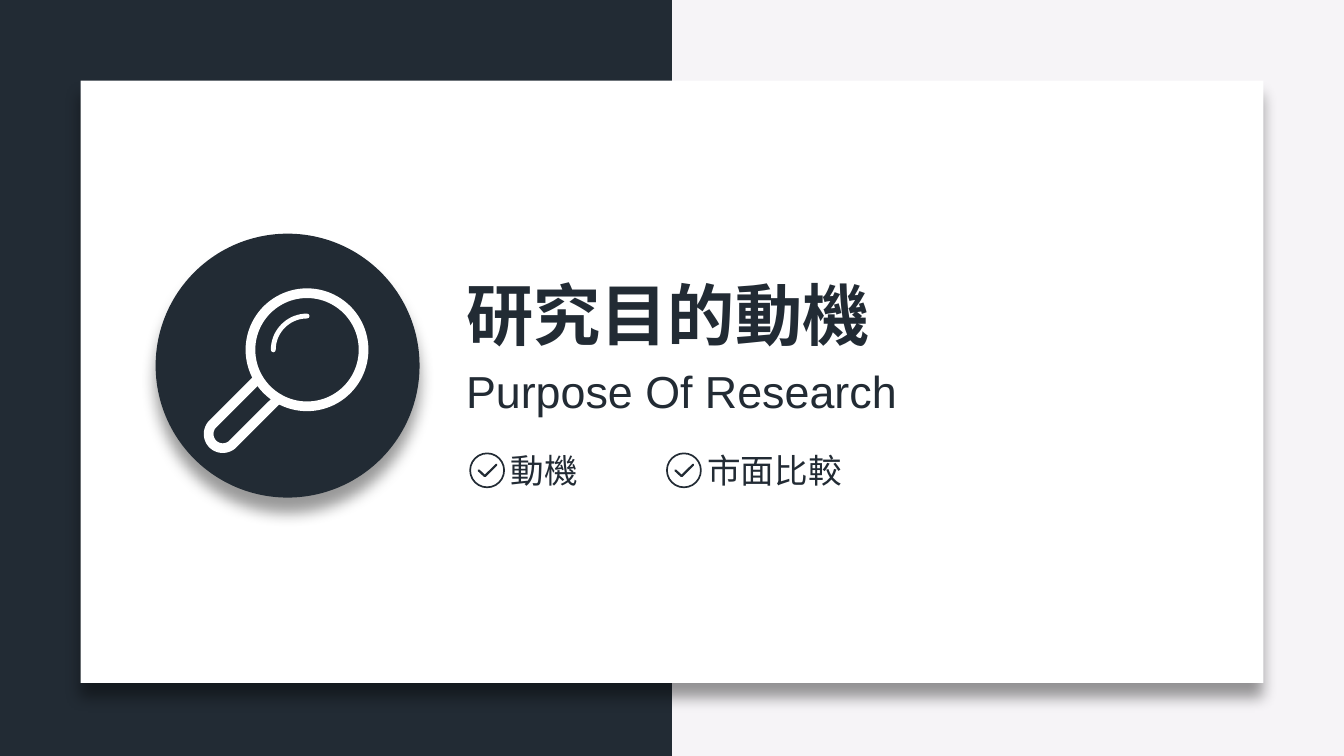
from dataclasses import dataclass
from math import cos, radians, sin, sqrt

from lxml.etree import SubElement
from pptx import Presentation
from pptx.dml.color import RGBColor
from pptx.enum.shapes import MSO_SHAPE
from pptx.enum.text import MSO_ANCHOR, MSO_AUTO_SIZE, PP_ALIGN
from pptx.oxml.ns import qn
from pptx.util import Pt


@dataclass(frozen=True)
class Theme:
    dark: str = "222B34"
    pale: str = "F6F4F7"
    white: str = "FFFFFF"
    black: str = "000000"
    sans: str = "Calibri"
    latin: str = "Arial"
    head: int = 36
    sub: int = 24
    item: int = 18


@dataclass(frozen=True)
class Label:
    text: str
    left: float
    top: float
    width: float
    height: float
    size: int
    font: str
    bold: bool = False


@dataclass(frozen=True)
class Topic:
    text: str
    left: float
    width: float


THEME = Theme()
WIDE, HIGH = 720, 405
EDGE = 242.6
TITLE = Label("研究目的動機", EDGE, 142.6, 232.6, 51.1, THEME.head, THEME.sans, True)
SUB = Label("Purpose Of Research", EDGE, 191.5, 247.7, 36, THEME.sub, THEME.latin)
TOPICS = [Topic("動機", 251.3, 51.1), Topic("市面比較", 356.7, 87.1)]


def tint(code: str) -> RGBColor:
    return RGBColor.from_string(code)


def apply(thing, style: dict) -> None:
    for name, value in style.items():
        setattr(thing, name, value)


def block(slide, kind, left: float, top: float, width: float, height: float, fill: str):
    shape = slide.shapes.add_shape(kind, Pt(left), Pt(top), Pt(width), Pt(height))
    shape.shadow.inherit = False
    shape.fill.solid()
    shape.fill.fore_color.rgb = tint(fill)
    shape.line.fill.background()
    return shape


def shade(shape) -> None:
    effects = shape._element.spPr.find(qn("a:effectLst"))
    outer = SubElement(effects, qn("a:outerShdw"), blurRad=str(Pt(8)), dist=str(Pt(8)),
                       dir="5400000", algn="t", rotWithShape="0")
    color = SubElement(outer, qn("a:srgbClr"), val=THEME.black)
    SubElement(color, qn("a:alpha"), val="40000")


def stroke(shape, color: str, weight: float) -> None:
    shape.shadow.inherit = False
    shape.fill.background()
    shape.line.color.rgb = tint(color)
    shape.line.width = Pt(weight)


def ring(slide, x: float, y: float, radius: float, color: str, weight: float) -> None:
    shape = slide.shapes.add_shape(MSO_SHAPE.OVAL, Pt(x - radius), Pt(y - radius),
                                   Pt(2 * radius), Pt(2 * radius))
    stroke(shape, color, weight)


def trace(slide, dots: list[tuple[float, float]], color: str, weight: float) -> None:
    spots = [(Pt(x), Pt(y)) for x, y in dots]
    maker = slide.shapes.build_freeform(*spots[0])
    maker.add_line_segments(spots[1:], close=False)
    shape = maker.convert_to_shape()
    stroke(shape, color, weight)
    line = shape.line._get_or_add_ln()
    line.set("cap", "rnd")
    SubElement(line, qn("a:round"))


def arc(x: float, y: float, radius: float, start: int, end: int) -> list[tuple[float, float]]:
    return [(x + radius * cos(radians(a)), y + radius * sin(radians(a)))
            for a in range(start, end + 1, 5)]


def write(shape, label: Label) -> None:
    apply(shape, {"left": Pt(label.left), "top": Pt(label.top),
                  "width": Pt(label.width), "height": Pt(label.height)})
    frame = shape.text_frame
    apply(frame, {"word_wrap": True, "auto_size": MSO_AUTO_SIZE.SHAPE_TO_FIT_TEXT,
                  "vertical_anchor": MSO_ANCHOR.TOP,
                  "margin_left": Pt(7.2), "margin_right": Pt(7.2),
                  "margin_top": Pt(3.6), "margin_bottom": Pt(3.6)})
    para = frame.paragraphs[0]
    para.alignment = PP_ALIGN.LEFT
    run = para.add_run()
    run.text = label.text
    apply(run.font, {"name": label.font, "size": Pt(label.size), "bold": label.bold})
    run.font.color.rgb = tint(THEME.dark)


def note(slide, label: Label) -> None:
    write(slide.shapes.add_textbox(0, 0, 0, 0), label)


def check(slide, x: float, y: float) -> None:
    ring(slide, x, y, 9.1, THEME.dark, 0.9)
    trace(slide, [(x - 4.6, y), (x - 1.2, y + 3.1), (x + 4.9, y - 3)], THEME.dark, 1.2)


def lens(slide, x: float, y: float) -> None:
    radius, half, reach, weight = 30.3, 7.6, 63.8, 5.2
    slant = sqrt(0.5)
    tip_x, tip_y = x - reach * slant, y + reach * slant
    bend = arc(tip_x, tip_y, half, 45, 225)
    run = (reach - sqrt(radius ** 2 - half ** 2)) * slant
    ends = [(px + run, py - run) for px, py in (bend[0], bend[-1])]
    trace(slide, [ends[0], *bend, ends[1]], THEME.white, weight)
    ring(slide, x, y, radius, THEME.white, weight)
    trace(slide, arc(x, y, 18.1, 180, 270), THEME.white, 2.6)


def main() -> None:
    deck = Presentation()
    apply(deck, {"slide_width": Pt(WIDE), "slide_height": Pt(HIGH)})
    slide = deck.slides.add_slide(deck.slide_layouts[5])
    back = slide.background.fill
    back.solid()
    back.fore_color.rgb = tint(THEME.pale)

    block(slide, MSO_SHAPE.RECTANGLE, 0, 0, WIDE / 2, HIGH, THEME.dark)
    inset = 43.2
    shade(block(slide, MSO_SHAPE.RECTANGLE, inset, inset, WIDE - 2 * inset, 322.6, THEME.white))
    shade(block(slide, MSO_SHAPE.OVAL, 83.4, 125.2, 141.4, 141.4, THEME.dark))

    title = slide.shapes.title
    write(title, TITLE)
    slide.shapes._spTree.append(title._element)
    note(slide, SUB)
    for topic in TOPICS:
        check(slide, topic.left + 9.7, 252)
        note(slide, Label(topic.text, topic.left + 15.1, 237.6, topic.width, 28.8,
                          THEME.item, THEME.sans))
    lens(slide, 164.5, 187.4)
    deck.save("out.pptx")


if __name__ == "__main__":
    main()
